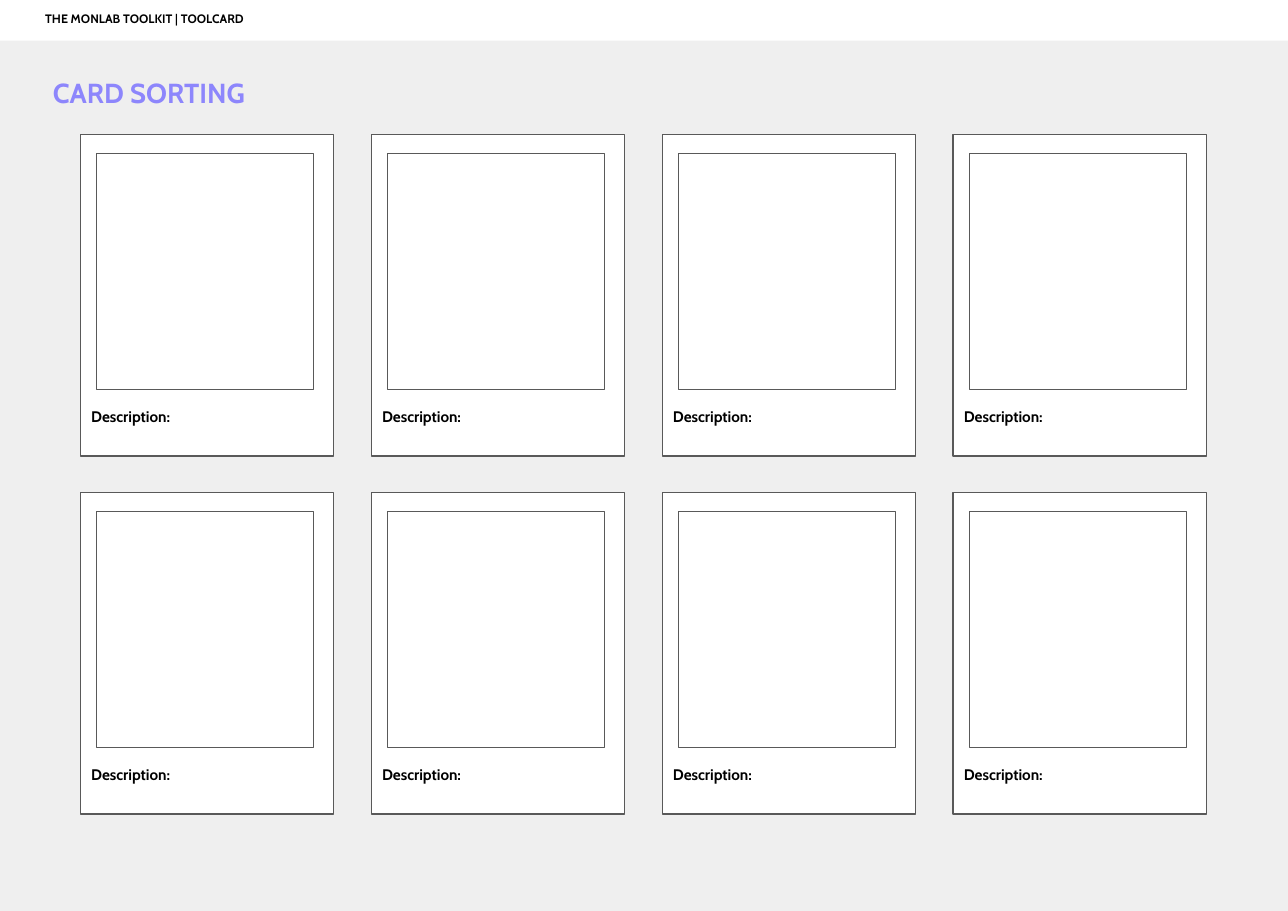
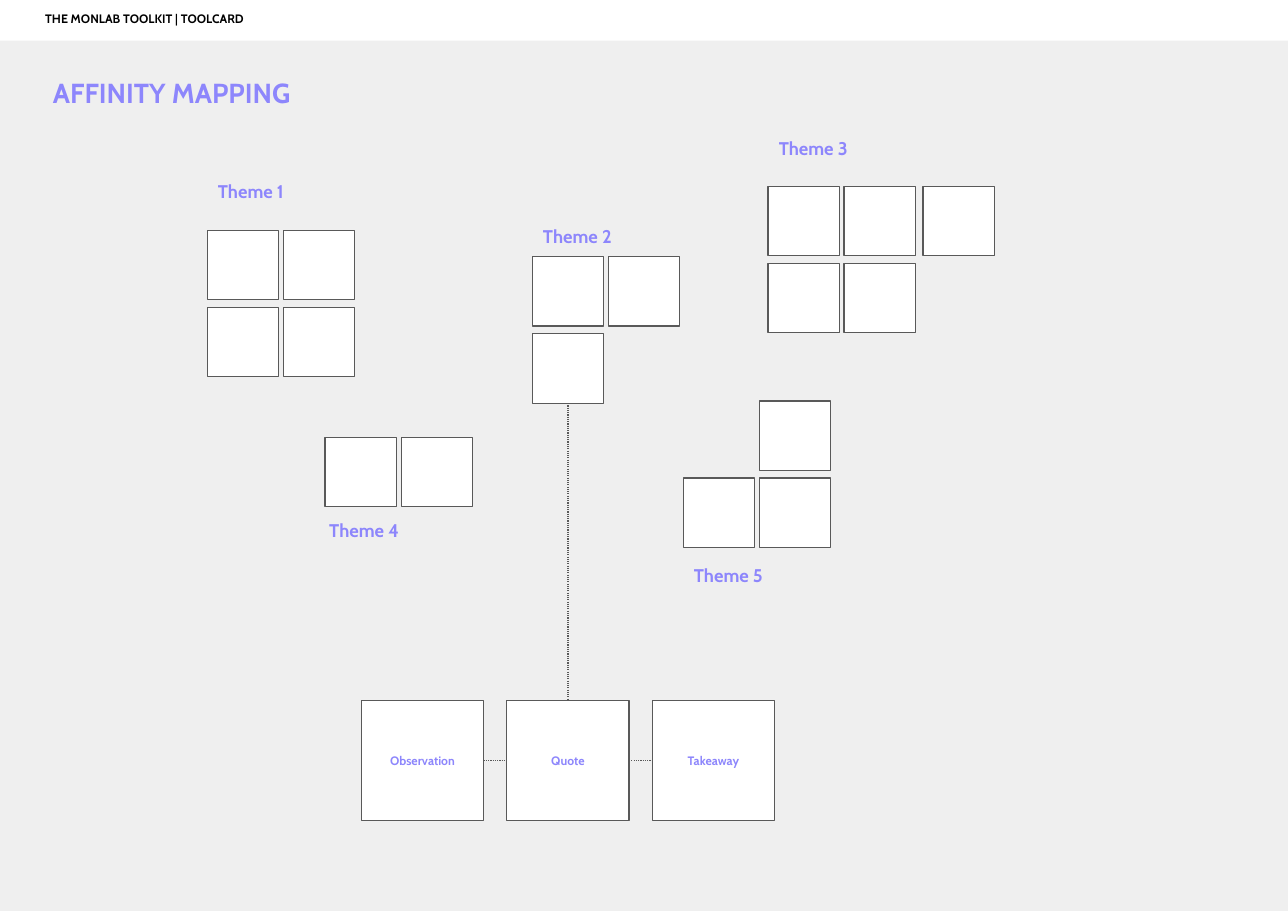
from lxml.etree import SubElement
from pptx import Presentation
from pptx.dml.color import RGBColor
from pptx.enum.dml import MSO_LINE
from pptx.enum.shapes import MSO_CONNECTOR, MSO_SHAPE
from pptx.enum.text import MSO_ANCHOR, MSO_AUTO_SIZE, PP_ALIGN
from pptx.oxml.ns import qn
from pptx.util import Inches, Pt

FONT = "Cabin"
GREY, WHITE, BLACK = "EFEFEF", "FFFFFF", "000000"
LILAC, EDGE = "8D86FC", "595959"
WIDTH, HEIGHT = 11.69, 8.27
PAD = 0.1

NOTE_W, NOTE_H = 0.65, 0.63
NOTE_DX, NOTE_DY = 0.69, 0.7
# label, label place, first note place, (column, row) of each note
THEMES = [
    ("Theme 1", (1.88, 1.54), (1.88, 2.09), [(0, 0), (1, 0), (0, 1), (1, 1)]),
    ("Theme 2", (4.83, 1.94), (4.83, 2.33), [(0, 0), (1, 0), (0, 1)]),
    ("Theme 3", (6.97, 1.15), (6.97, 1.69),
     [(0, 0), (1, 0), (2.04, 0), (0, 1), (1, 1)]),
    ("Theme 4", (2.89, 4.61), (2.95, 3.97), [(0, 0), (1, 0)]),
    ("Theme 5", (6.2, 5.02), (6.2, 3.64), [(1, 0), (0, 1), (1, 1)]),
]


def color(code):
    return RGBColor.from_string(code)


def write(shape, text, size, code, align=PP_ALIGN.LEFT,
          anchor=MSO_ANCHOR.TOP, left=PAD, bottom=PAD):
    frame = shape.text_frame
    frame.text = text
    frame.word_wrap = True
    frame.auto_size = MSO_AUTO_SIZE.NONE
    frame.vertical_anchor = anchor
    frame.margin_left, frame.margin_bottom = Inches(left), Inches(bottom)
    frame.margin_top = frame.margin_right = Inches(PAD)
    para = frame.paragraphs[0]
    para.alignment = align
    font = para.runs[0].font
    font.name, font.size, font.bold = FONT, Pt(size), True
    font.color.rgb = color(code)


def add_box(slide, x, y, w, h, edge=EDGE):
    """Add a white rectangle, outlined unless edge is None."""
    box = slide.shapes.add_shape(
        MSO_SHAPE.RECTANGLE, Inches(x), Inches(y), Inches(w), Inches(h))
    box.shadow.inherit = False
    box.fill.solid()
    box.fill.fore_color.rgb = color(WHITE)
    if edge:
        box.line.color.rgb = color(edge)
        box.line.width = Pt(0.75)
    else:
        box.line.fill.background()
    return box


def add_label(slide, text, x, y):
    label = slide.shapes.add_textbox(
        Inches(x), Inches(y), Inches(1.03), Inches(0.46))
    write(label, text, 12, LILAC)


def add_link(slide, start, start_side, end, end_side):
    """Join two boxes with a dotted line."""
    link = slide.shapes.add_connector(MSO_CONNECTOR.STRAIGHT, 0, 0, 0, 0)
    link.begin_connect(start, start_side)
    link.end_connect(end, end_side)
    link.line.color.rgb = color(EDGE)
    link.line.width = Pt(0.75)
    link.line.dash_style = MSO_LINE.ROUND_DOT
    SubElement(link._element.spPr, qn("a:effectLst"))


def add_page(deck, text):
    """Add a slide with the shared title style and header band."""
    slide = deck.slides.add_slide(deck.slide_layouts[5])
    title = slide.shapes.title
    title.left, title.top = Inches(0), Inches(0.59)
    title.width, title.height = Inches(6.64), Inches(0.51)
    write(title, text, 18, LILAC, left=0.48)
    band = add_box(slide, 0, 0, WIDTH, 0.37, edge=None)
    write(band, "THE MONLAB TOOLKIT | TOOLCARD", 8, BLACK, left=0.41)
    return slide


def add_card(slide, x, y):
    card = add_box(slide, x, y, 2.3, 2.92)
    write(card, "Description:", 10, BLACK,
          anchor=MSO_ANCHOR.BOTTOM, bottom=0.28)
    add_box(slide, x + 0.15, y + 0.17, 1.97, 2.15)


def add_theme(slide, text, place, origin, cells):
    """Add a theme label with its notes; return the notes."""
    add_label(slide, text, *place)
    x, y = origin
    return [add_box(slide, x + col * NOTE_DX, y + row * NOTE_DY,
                    NOTE_W, NOTE_H) for col, row in cells]


def add_detail(slide, text, x):
    box = add_box(slide, x, 6.36, 1.11, 1.09)
    write(box, text, 8, LILAC, PP_ALIGN.CENTER, MSO_ANCHOR.MIDDLE)
    return box


def build_sorting(deck):
    slide = add_page(deck, "CARD SORTING")
    for row in range(2):
        for col in range(4):
            add_card(slide, 0.73 + col * 2.64, 1.22 + row * 3.25)


def build_mapping(deck):
    slide = add_page(deck, "AFFINITY MAPPING")
    notes = {theme[0]: add_theme(slide, *theme) for theme in THEMES}
    names = ["Observation", "Quote", "Takeaway"]
    first, quote, last = [add_detail(slide, name, 3.28 + i * 1.32)
                          for i, name in enumerate(names)]
    add_link(slide, notes["Theme 2"][-1], 2, quote, 0)
    add_link(slide, first, 3, quote, 1)
    add_link(slide, quote, 3, last, 1)


def main():
    deck = Presentation()
    deck.slide_width, deck.slide_height = Inches(WIDTH), Inches(HEIGHT)
    fill = deck.slide_master.background.fill
    fill.solid()
    fill.fore_color.rgb = color(GREY)
    build_sorting(deck)
    build_mapping(deck)
    deck.save("out.pptx")


if __name__ == "__main__":
    main()
